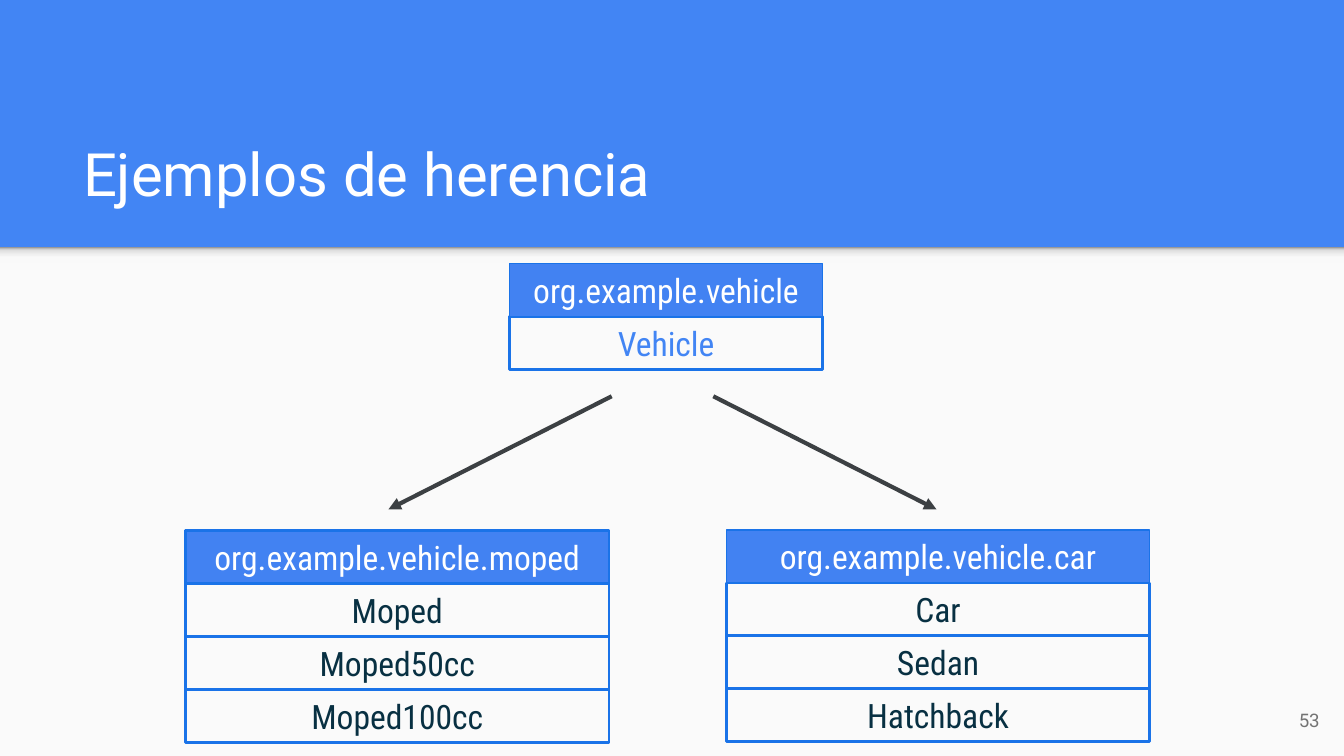
from copy import deepcopy

from pptx import Presentation
from pptx.dml.color import RGBColor
from pptx.enum.shapes import MSO_CONNECTOR, MSO_SHAPE
from pptx.enum.text import MSO_ANCHOR, PP_ALIGN
from pptx.oxml.ns import qn
from pptx.util import Cm, Pt

RECTANGLE = MSO_SHAPE.RECTANGLE
STRAIGHT = MSO_CONNECTOR.STRAIGHT
MIDDLE, BOTTOM = MSO_ANCHOR.MIDDLE, MSO_ANCHOR.BOTTOM
LEFT, CENTER, RIGHT = PP_ALIGN.LEFT, PP_ALIGN.CENTER, PP_ALIGN.RIGHT

BLUE = RGBColor(0x42, 0x85, 0xF4)
HEADER_BLUE = RGBColor(0x42, 0x82, 0xF2)
BORDER_BLUE = RGBColor(0x1A, 0x73, 0xE8)
NAVY = RGBColor(0x08, 0x30, 0x42)
WHITE = RGBColor(0xFF, 0xFF, 0xFF)
PAPER = RGBColor(0xFA, 0xFA, 0xFA)
GRAY = RGBColor(0x73, 0x73, 0x73)
ARROW_GRAY = RGBColor(0x3C, 0x40, 0x43)
SHADOW_STOPS = [
    (0, RGBColor(0xF9, 0xF9, 0xF9)),
    (0.36, RGBColor(0xF9, 0xF9, 0xF9)),
    (0.8, RGBColor(0xDE, 0xDE, 0xDE)),
    (1, RGBColor(0x99, 0x99, 0x99)),
]

WIDTH, HEIGHT = 25.4, 14.29
BAND_HEIGHT = 4.67
ROW_HEIGHT = 1


def write(shape, text, size, font_name, color, align, anchor):
    text_frame = shape.text_frame
    text_frame.text = text
    text_frame.word_wrap = True
    text_frame.vertical_anchor = anchor
    text_frame.margin_left = text_frame.margin_right = Cm(0.25)
    text_frame.margin_top = text_frame.margin_bottom = Cm(0.25)
    paragraph = text_frame.paragraphs[0]
    paragraph.alignment = align
    font = paragraph.runs[0].font
    font.size, font.name = Pt(size), font_name
    font.color.rgb = color


def add_rectangle(shapes, left, top, width, height, fill=None):
    shape = shapes.add_shape(RECTANGLE, Cm(left), Cm(top), Cm(width), Cm(height))
    shape.shadow.inherit = False
    shape.line.fill.background()
    if fill is None:
        shape.fill.background()
    else:
        shape.fill.solid()
        shape.fill.fore_color.rgb = fill
    return shape


def add_text(slide, left, top, width, height, *style):
    box = slide.shapes.add_textbox(Cm(left), Cm(top), Cm(width), Cm(height))
    write(box, *style)


def add_body(slide, left, top, width, height):
    """Light area with a soft shadow along its top edge."""
    add_rectangle(slide.shapes, left, top, width, height, PAPER)
    shadow = add_rectangle(slide.shapes, left, top, width, 0.3)
    shadow.fill.gradient()
    shadow.fill.gradient_angle = 90
    stop_list = next(shadow._element.iter(qn("a:gsLst")))
    while len(stop_list) < len(SHADOW_STOPS):
        stop_list.append(deepcopy(stop_list[0]))
    for stop, (position, color) in zip(shadow.fill.gradient_stops, SHADOW_STOPS):
        stop.position = position
        stop.color.rgb = color


def add_package(slide, left, top, width, name, classes, class_color, header_line):
    """Package header stacked on one row for each class."""
    group = slide.shapes.add_group_shape()
    rows = [(text, None, class_color, 1.5) for text in classes]
    rows.insert(0, (name, HEADER_BLUE, WHITE, header_line))
    # The header is drawn last, above the border of the first class
    for index, (text, fill, color, line_width) in reversed(list(enumerate(rows))):
        row = add_rectangle(group.shapes, left, top + index * ROW_HEIGHT,
                            width, ROW_HEIGHT, fill)
        row.line.color.rgb = BORDER_BLUE
        row.line.width = Pt(line_width)
        write(row, text, 18, "Roboto Condensed", color, CENTER, MIDDLE)


def add_arrow(slide, start_x, start_y, end_x, end_y):
    arrow = slide.shapes.add_connector(
        STRAIGHT, Cm(start_x), Cm(start_y), Cm(end_x), Cm(end_y))
    arrow.line.color.rgb = ARROW_GRAY
    arrow.line.width = Pt(2.25)
    line = arrow.line._get_or_add_ln()
    line.append(line.makeelement(qn("a:tailEnd"), {"type": "triangle"}))
    properties = arrow._element.spPr
    properties.append(properties.makeelement(qn("a:effectLst"), {}))


def add_inheritance_slide(presentation):
    slide = presentation.slides.add_slide(presentation.slide_layouts[6])
    slide.background.fill.solid()
    slide.background.fill.fore_color.rgb = BLUE
    add_body(slide, 0, BAND_HEIGHT, WIDTH, HEIGHT - BAND_HEIGHT)

    # Title and page number
    add_text(slide, 1.32, 2.06, 22.83, 2.13,
             "Ejemplos de herencia", 32, "Roboto", WHITE, LEFT, BOTTOM)
    add_text(slide, 23.67, 13.06, 1.52, 1.09,
             "53", 10, "Roboto", GRAY, RIGHT, MIDDLE)

    # Parent package above its two children
    add_package(slide, 9.63, 4.98, 5.92, "org.example.vehicle",
                ["Vehicle"], BLUE, 0.75)
    add_package(slide, 3.51, 10.03, 8, "org.example.vehicle.moped",
                ["Moped", "Moped50cc", "Moped100cc"], NAVY, 1.5)
    add_package(slide, 13.73, 10.02, 8, "org.example.vehicle.car",
                ["Car", "Sedan", "Hatchback"], NAVY, 0.75)

    # Arrows from parent to children
    for start_x, end_x in ((11.56, 7.34), (13.48, 17.7)):
        add_arrow(slide, start_x, 7.49, end_x, 9.63)


def main():
    presentation = Presentation()
    presentation.slide_width = Cm(WIDTH)
    presentation.slide_height = Cm(HEIGHT)
    add_inheritance_slide(presentation)
    presentation.save("out.pptx")


if __name__ == "__main__":
    main()
